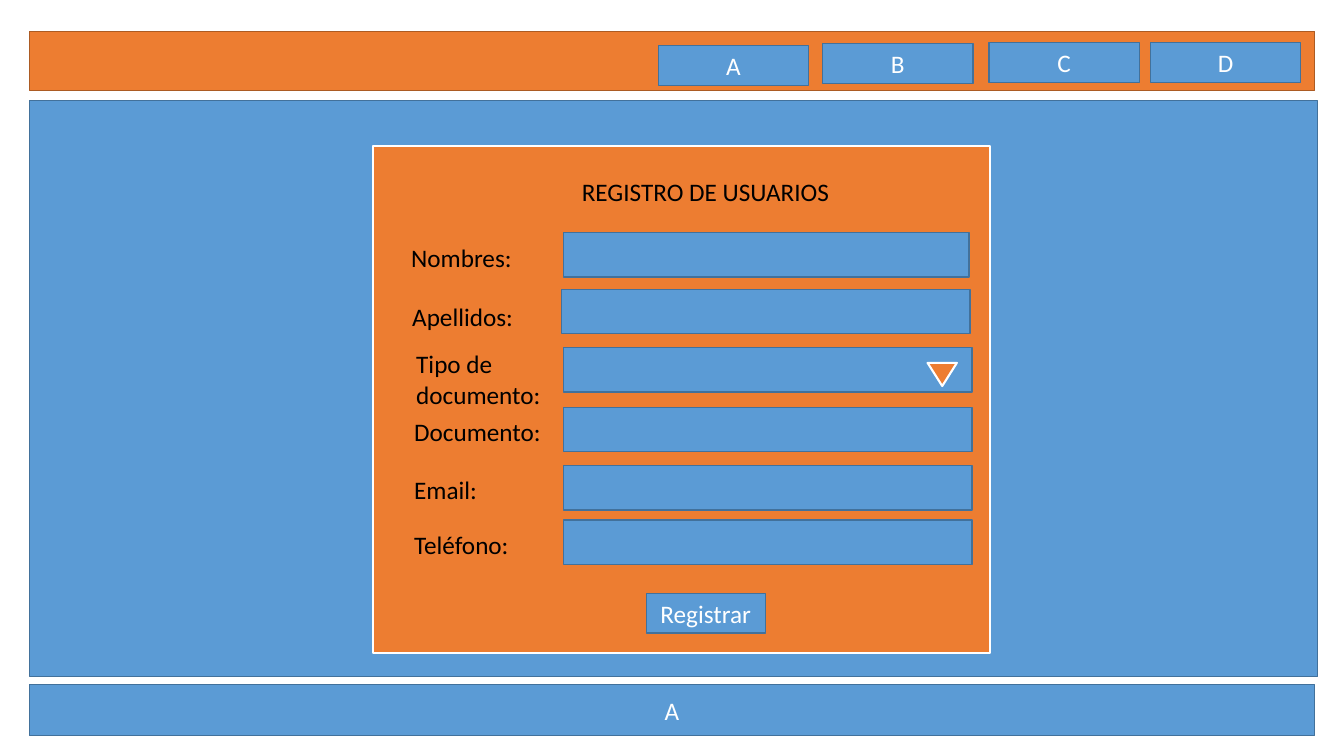
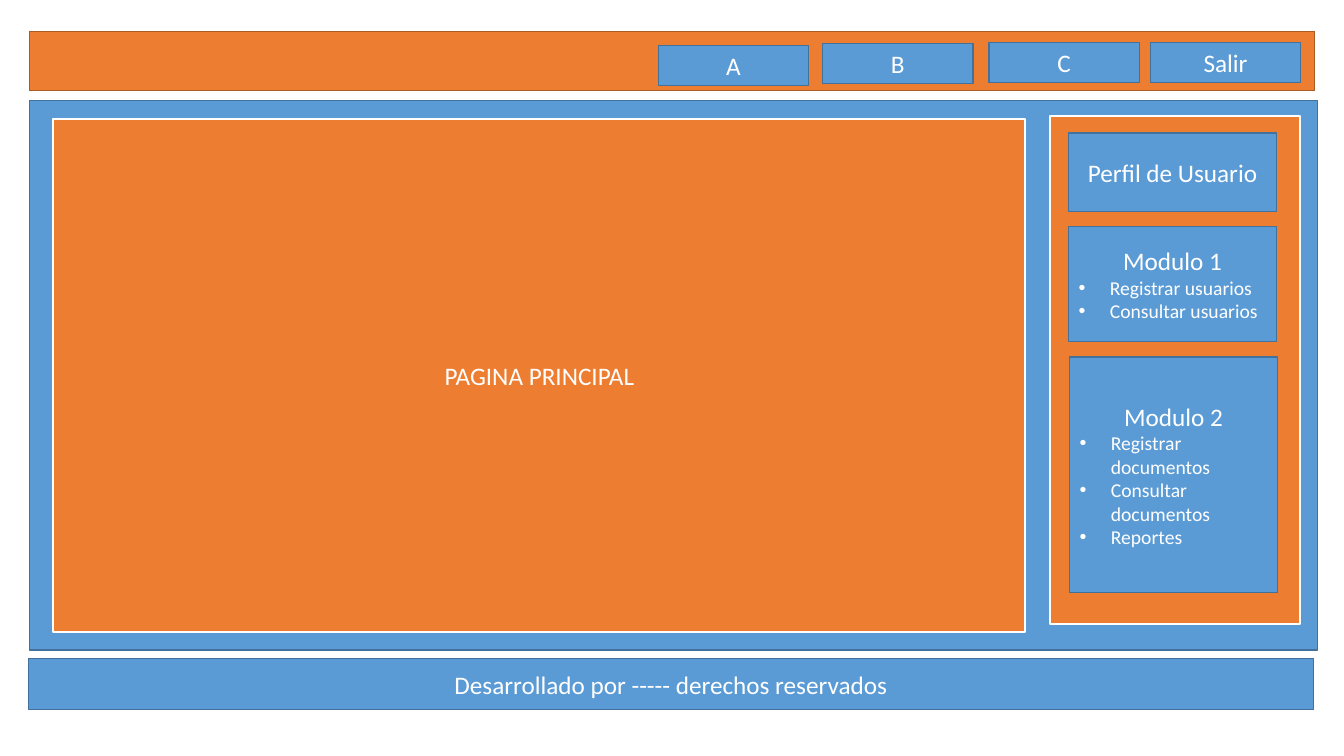
from lxml import etree
from pptx import Presentation
from pptx import util as u
from pptx.dml.color import RGBColor
from pptx.enum import shapes, text
from pptx.oxml import ns

COLORS = {
    "blue": "5B9BD5",
    "blue_edge": "42719B",
    "orange": "ED7D31",
    "orange_edge": "AC5B23",
    "white": "FFFFFF",
    "black": "000000",
}
FONT = "Calibri"
BODY_SIZE, ITEM_SIZE = 18, 14
MENU_PLACES = ((6.53, 0.45), (8.16, 0.43), (9.81, 0.42), (11.41, 0.42))
FIELD_HEIGHT = 0.44


def rgb(name):
    return RGBColor.from_string(COLORS[name])


class Wireframe:
    def __init__(self):
        self.deck = Presentation()
        self.deck.slide_width = u.Inches(13.33)
        self.deck.slide_height = u.Inches(7.5)
        self.slide = None

    def new_slide(self):
        self.slide = self.deck.slides.add_slide(self.deck.slide_layouts[5])

    def paint(self, shape, fill, edge, width):
        shape.fill.solid()
        shape.fill.fore_color.rgb = rgb(fill)
        shape.line.color.rgb = rgb(edge)
        shape.line.width = u.Pt(width)

    def setup_frame(self, shape):
        frame = shape.text_frame
        frame.word_wrap = True
        frame.auto_size = text.MSO_AUTO_SIZE.NONE
        frame.vertical_anchor = text.MSO_ANCHOR.MIDDLE
        return frame

    def add_words(self, paragraph, words, color="white", size=BODY_SIZE, align="CENTER"):
        paragraph.alignment = text.PP_ALIGN[align]
        run = paragraph.add_run()
        run.text = words
        run.font.name = FONT
        run.font.size = u.Pt(size)
        run.font.color.rgb = rgb(color)

    def bullet(self, paragraph):
        props = paragraph._p.get_or_add_pPr()
        props.set("marL", str(u.Inches(0.31)))
        props.set("indent", str(u.Inches(-0.31)))
        font = etree.SubElement(props, ns.qn("a:buFont"))
        font.set("typeface", "Arial")
        mark = etree.SubElement(props, ns.qn("a:buChar"))
        mark.set("char", "•")

    def box(self, place, caption="", items=(), fill="blue", edge="blue_edge",
            width=1, preset=shapes.MSO_SHAPE.RECTANGLE):
        shape = self.slide.shapes.add_shape(preset, *map(u.Inches, place))
        shape.shadow.inherit = False
        self.paint(shape, fill, edge, width)
        if caption:
            frame = self.setup_frame(shape)
            self.add_words(frame.paragraphs[0], caption)
            for item in items:
                paragraph = frame.add_paragraph()
                self.add_words(paragraph, item, size=ITEM_SIZE, align="LEFT")
                self.bullet(paragraph)
        return shape

    def panel(self, place, **options):
        return self.box(place, fill="orange", edge="white", width=1.5, **options)

    def label(self, place, words):
        holder = self.slide.shapes.add_textbox(*map(u.Inches, place))
        paragraph = self.setup_frame(holder).paragraphs[0]
        self.add_words(paragraph, words, color="black", align="LEFT")

    def title(self, place, words, color, align):
        heading = self.slide.shapes.title
        heading.left, heading.top, heading.width, heading.height = map(u.Inches, place)
        paragraph = self.setup_frame(heading).paragraphs[0]
        self.add_words(paragraph, words, color=color, align=align)
        self.slide.shapes._spTree.append(heading._element)
        return heading

    def page(self, body_height, menu, footer_place, footer):
        self.new_slide()
        self.box((0.29, 0.31, 12.75, 0.59), fill="orange", edge="orange_edge")
        self.box((0.29, 1, 12.78, body_height))
        self.box(footer_place, footer)
        for (left, top), option in zip(MENU_PLACES, menu):
            self.box((left, top, 1.49, 0.4), option)


def registration(wire):
    wire.page(5.71, "ABCD", (0.29, 6.79, 12.75, 0.51), "A")
    wire.panel((3.7, 1.45, 6.12, 5.03))
    fields = (
        ("Nombres:", 3.98, 2.33, 5.59, 2.31, 4.02),
        ("Apellidos:", 3.99, 2.92, 5.57, 2.87, 4.05),
        ("Tipo de documento:", 4.03, 3.54, 5.59, 3.45, 4.05),
        ("Documento:", 4.01, 4.06, 5.59, 4.04, 4.05),
        ("Email:", 4.01, 4.64, 5.59, 4.62, 4.05),
        ("Teléfono:", 4.01, 5.18, 5.59, 5.16, 4.05),
    )
    for name, name_left, name_top, left, top, width in fields:
        wire.box((left, top, width, FIELD_HEIGHT))
        wire.label((name_left, name_top, 1.76, FIELD_HEIGHT), name)
    dropdown = wire.panel((9.2, 3.6, 0.29, 0.23),
                          preset=shapes.MSO_SHAPE.ISOSCELES_TRIANGLE)
    dropdown.rotation = 180
    wire.box((6.41, 5.89, 1.18, 0.39), "Registrar")
    wire.title((5.67, 1.68, 3.21, 0.44), "REGISTRO DE USUARIOS", "black", "LEFT")


def main_page(wire):
    wire.page(5.45, ("A", "B", "C", "Salir"), (0.28, 6.53, 12.75, 0.51),
              "Desarrollado por ----- derechos reservados")
    wire.panel((10.41, 1.15, 2.48, 5.04))
    wire.box((10.6, 1.32, 2.06, 0.78), "Perfil de Usuario")
    wire.box((10.6, 2.25, 2.06, 1.14), "Modulo 1",
             ("Registrar usuarios", "Consultar usuarios"))
    wire.box((10.61, 3.54, 2.06, 2.34), "Modulo 2",
             ("Registrar documentos", "Consultar documentos", "Reportes"))
    content = wire.title((0.53, 1.18, 9.64, 5.09), "PAGINA PRINCIPAL", "white", "CENTER")
    wire.paint(content, "orange", "white", 1.5)


def main():
    wire = Wireframe()
    registration(wire)
    main_page(wire)
    wire.deck.save("out.pptx")


if __name__ == "__main__":
    main()
